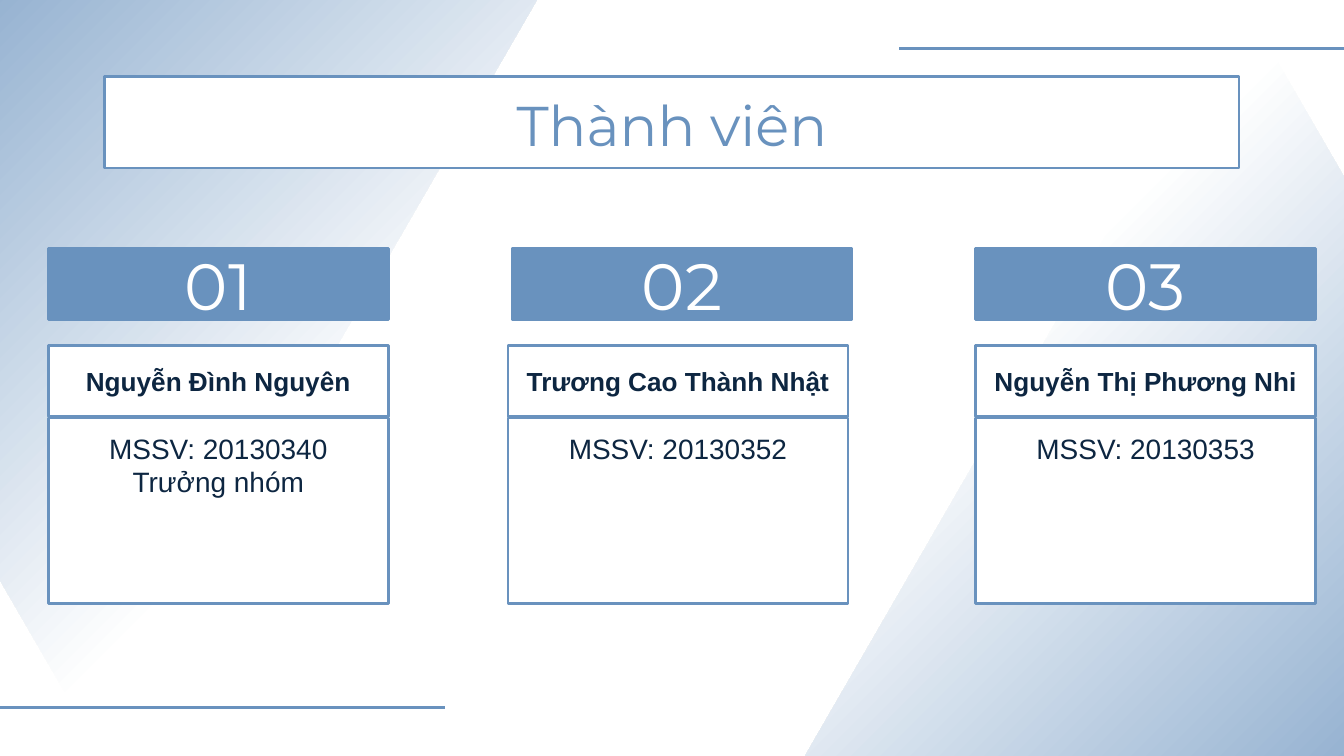
from pptx import Presentation
from pptx import util as u
from pptx.dml import color
from pptx.enum import shapes, text
from pptx.oxml.ns import qn
from lxml import etree

WIDTH = 10
HEIGHT = WIDTH * 9 / 16
BLUE, NAVY, WHITE = "6992BE", "0D2641", "FFFFFF"

# number, name, details, shift of the card under its number
MEMBERS = [
    ("01", "Nguyễn Đình Nguyên", ["MSSV: 20130340", "Trưởng nhóm"], 0),
    ("02", "Trương Cao Thành Nhật", ["MSSV: 20130352"], -0.03),
    ("03", "Nguyễn Thị Phương Nhi", ["MSSV: 20130353"], 0),
]
COLUMN_LEFT, COLUMN_STEP, COLUMN_WIDTH = 0.36, 3.45, 2.53
COLUMN_TOP, COLUMN_HEIGHT = 1.85, 2.64


def rgb(value):
    return color.RGBColor.from_string(value)


def inches(box):
    return [u.Inches(length) for length in box]


def add_panel(slide, box, lines, size, ink=NAVY, fill=WHITE, font="Arial",
              bold=False, anchor=text.MSO_ANCHOR.MIDDLE):
    """Blue-edged rectangle with centred text."""
    panel = slide.shapes.add_shape(shapes.MSO_SHAPE.RECTANGLE, *inches(box))
    panel.shadow.inherit = False
    panel.fill.solid()
    panel.fill.fore_color.rgb = rgb(fill)
    panel.line.color.rgb = rgb(BLUE)
    panel.line.width = u.Pt(1.5)
    frame = panel.text_frame
    frame.word_wrap = True
    frame.vertical_anchor = anchor
    frame.margin_left = frame.margin_right = u.Inches(0.1)
    frame.margin_top = frame.margin_bottom = u.Inches(0.1)
    for index, line in enumerate(lines):
        paragraph = frame.add_paragraph() if index else frame.paragraphs[0]
        paragraph.text = line
        paragraph.alignment = text.PP_ALIGN.CENTER
        paragraph.font.name = font
        paragraph.font.size = u.Pt(size)
        paragraph.font.bold = bold
        paragraph.font.color.rgb = rgb(ink)


def add_gradient_triangle(slide, box, rotation):
    triangle = slide.shapes.add_shape(
        shapes.MSO_SHAPE.ISOSCELES_TRIANGLE, *inches(box))
    triangle.rotation = rotation
    triangle.shadow.inherit = False
    triangle.line.fill.background()
    triangle.fill.gradient()
    triangle.fill.gradient_angle = 315
    stops = [(0.32, WHITE), (1, BLUE)]
    for stop, (position, shade) in zip(triangle.fill.gradient_stops, stops):
        stop.position = position
        stop.color.rgb = rgb(shade)


def add_rule(slide, left, top, width):
    rule = slide.shapes.add_connector(
        shapes.MSO_CONNECTOR.STRAIGHT, *inches((left, top, left + width, top)))
    rule.line.color.rgb = rgb(BLUE)
    rule.line.width = u.Pt(1.5)
    properties = rule._element.find(qn("p:spPr"))
    etree.SubElement(properties, qn("a:effectLst"))


def add_backdrop(slide, width, height):
    span, rule, inset = 0.65 * width, 3.31, 0.36
    add_gradient_triangle(slide, (-2.5, -0.01, span, height), 180)
    add_gradient_triangle(slide, (5.99, 0, span, height), 0)
    add_rule(slide, width - rule, inset, rule)
    add_rule(slide, 0, height - inset, rule)


def add_member(slide, box, number, name, details, shift):
    """Number bar above a card with a name row and a details area."""
    left, top, width, height = box
    row, name_top, details_top = 0.2 * height, top + 0.72, top + 1.26
    add_panel(slide, (left + shift, name_top, width, row), [name], 14,
              bold=True)
    add_panel(slide,
              (left + shift, details_top, width, top + height - details_top),
              details, 15, anchor=text.MSO_ANCHOR.TOP)
    add_panel(slide, (left, top, width, row), [number], 35, ink=WHITE,
              fill=BLUE, font="Montserrat")


def main():
    deck = Presentation()
    deck.slide_width, deck.slide_height = inches((WIDTH, HEIGHT))
    slide = deck.slides.add_slide(deck.slide_layouts[6])
    add_backdrop(slide, WIDTH, HEIGHT)
    add_panel(slide, (0.78, 0.57, 8.44, 0.68), ["Thành viên"], 30, ink=BLUE,
              font="Montserrat", anchor=text.MSO_ANCHOR.TOP)
    for column, member in enumerate(MEMBERS):
        left = COLUMN_LEFT + column * COLUMN_STEP
        add_member(slide, (left, COLUMN_TOP, COLUMN_WIDTH, COLUMN_HEIGHT),
                   *member)
    deck.save("out.pptx")


if __name__ == "__main__":
    main()
